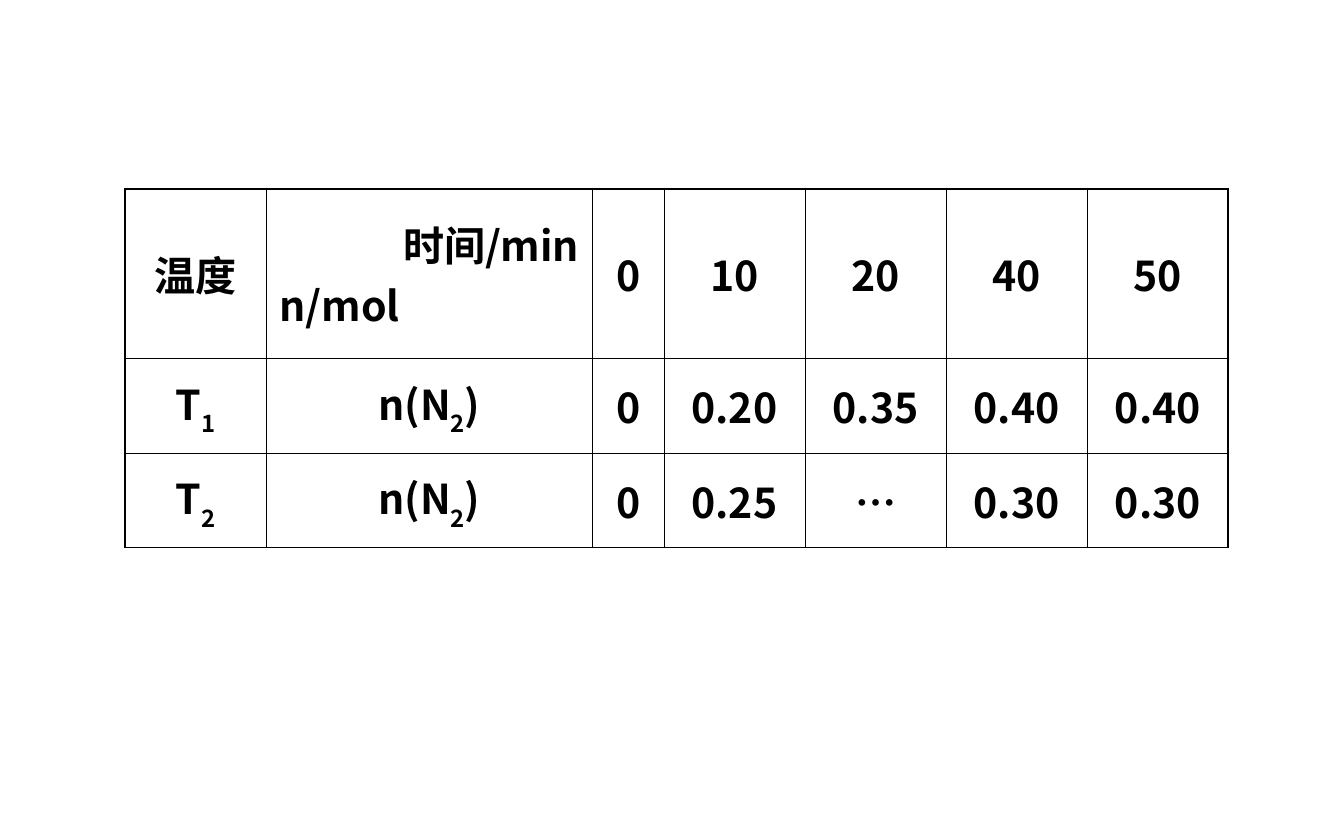
from lxml import etree
from pptx import Presentation
from pptx.dml.color import RGBColor
from pptx.enum.text import MSO_ANCHOR, PP_ALIGN
from pptx.oxml.ns import qn
from pptx.util import Inches, Pt

BLACK = RGBColor(0, 0, 0)
WHITE = RGBColor(255, 255, 255)
LEFT, CENTER, RIGHT = PP_ALIGN.LEFT, PP_ALIGN.CENTER, PP_ALIGN.RIGHT
MIDDLE = MSO_ANCHOR.MIDDLE

COLUMN_SHARES = [0.105, 0.243, 0.053] + [0.105] * 4
ROW_SHARES = [0.202, 0.113, 0.112]
CORNER = [("时间/min", RIGHT), ("n/mol", LEFT)]
READINGS = [
    ["温度", CORNER, "0", "10", "20", "40", "50"],
    ["T_1", "n(N_2)", "0", "0.20", "0.35", "0.40", "0.40"],
    ["T_2", "n(N_2)", "0", "0.25", "…", "0.30", "0.30"],
]


class TablePage:
    """Holds the table style and the current slide."""
    font_name = "Noto Sans CJK SC"
    font_size = Pt(22)
    thin, thick = Pt(0.45), Pt(1.08)

    def __init__(self, deck):
        self.width, self.height = deck.slide_width, deck.slide_height
        self.page = deck.slides.add_slide(deck.slide_layouts[6])

    def fill_paragraph(self, para, text, align):
        """Set text and font; the character after each underscore is a subscript."""
        para.alignment = align
        font = para.font
        font.name, font.size, font.bold = self.font_name, self.font_size, True
        font.color.rgb = BLACK
        defaults = para._p.pPr.find(qn("a:defRPr"))
        etree.SubElement(defaults, qn("a:ea"), typeface=self.font_name)
        plain, *marked = text.split("_")
        para.add_run().text = plain
        for part in marked:
            span = para.add_run()
            span.text = part[0]
            span._r.get_or_add_rPr().set("baseline", "-30000")
            if part[1:]:
                para.add_run().text = part[1:]

    def border(self, cell, outer_sides):
        properties = cell._tc.get_or_add_tcPr()
        for side in "LRTB":
            width = self.thick if side in outer_sides else self.thin
            line = etree.SubElement(properties, qn(f"a:ln{side}"), w=str(int(width)))
            fill = etree.SubElement(line, qn("a:solidFill"))
            etree.SubElement(fill, qn("a:srgbClr"), val=str(BLACK))

    def table(self, left, top, column_shares, row_shares, rows):
        """Place a ruled table; lengths are shares of the slide's size."""
        row_count, column_count = len(row_shares), len(column_shares)
        table = self.page.shapes.add_table(
            row_count, column_count,
            int(left * self.width), int(top * self.height),
            int(sum(column_shares) * self.width),
            int(sum(row_shares) * self.height),
        ).table
        table.first_row = table.horz_banding = False
        for column, share in zip(table.columns, column_shares):
            column.width = int(share * self.width)
        for row, share in zip(table.rows, row_shares):
            row.height = int(share * self.height)
        for r, row in enumerate(rows):
            for c, content in enumerate(row):
                cell = table.cell(r, c)
                edges = {"L": c == 0, "R": c == column_count - 1,
                         "T": r == 0, "B": r == row_count - 1}
                self.border(cell, [side for side, outer in edges.items() if outer])
                cell.fill.solid()
                cell.fill.fore_color.rgb = WHITE
                cell.vertical_anchor = MIDDLE
                lines = [(content, CENTER)] if isinstance(content, str) else content
                frame = cell.text_frame
                for i, (text, align) in enumerate(lines):
                    para = frame.add_paragraph() if i else frame.paragraphs[0]
                    self.fill_paragraph(para, text, align)


def main():
    deck = Presentation()
    deck.slide_width, deck.slide_height = Inches(10), Inches(6.25)
    page = TablePage(deck)
    page.table(0.093, 0.225, COLUMN_SHARES, ROW_SHARES, READINGS)
    deck.save("out.pptx")


if __name__ == "__main__":
    main()
